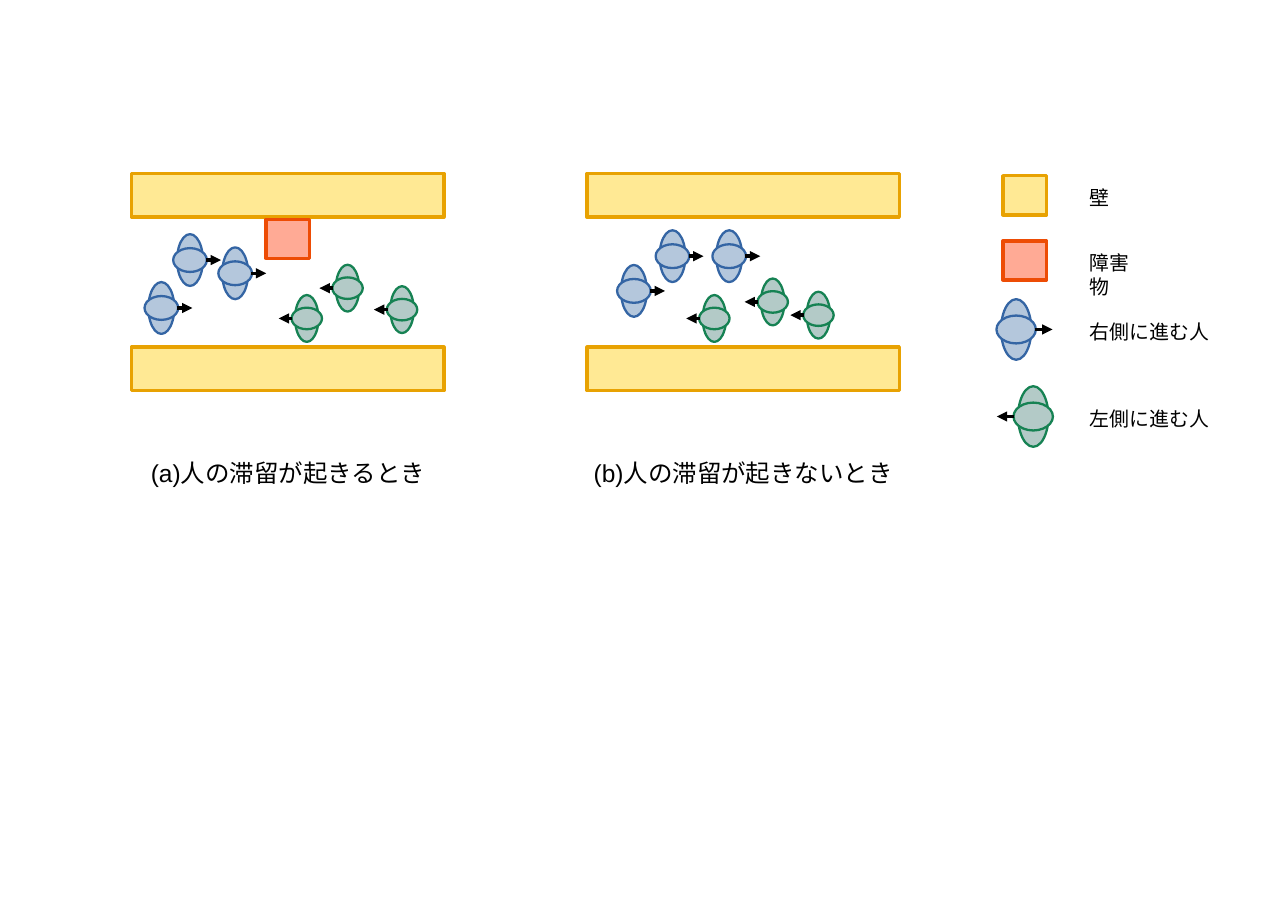
from lxml import etree
from pptx import Presentation
from pptx.dml.color import RGBColor
from pptx.enum.shapes import MSO_CONNECTOR, MSO_SHAPE
from pptx.enum.text import MSO_ANCHOR, PP_ALIGN
from pptx.oxml.ns import qn
from pptx.util import Emu, Pt

EMU_PER_PX = 9144
SLIDE_WIDTH = Emu(21383625)
SLIDE_HEIGHT = Emu(15119350)
RECTANGLE = MSO_SHAPE.RECTANGLE
OVAL = MSO_SHAPE.OVAL
STRAIGHT = MSO_CONNECTOR.STRAIGHT
TOP = MSO_ANCHOR.TOP
LEFT = PP_ALIGN.LEFT

WHITE = RGBColor(0xFF, 0xFF, 0xFF)
BLACK = RGBColor(0x00, 0x00, 0x00)
WALL_FILL = RGBColor(0xFF, 0xE9, 0x94)
WALL_EDGE = RGBColor(0xE8, 0xA2, 0x02)
OBSTACLE_FILL = RGBColor(0xFF, 0xAA, 0x95)
OBSTACLE_EDGE = RGBColor(0xED, 0x4C, 0x05)
BLUE_FILL = RGBColor(0xB4, 0xC7, 0xDC)
BLUE_EDGE = RGBColor(0x34, 0x65, 0xA4)
GREEN_FILL = RGBColor(0xB3, 0xCA, 0xC7)
GREEN_EDGE = RGBColor(0x16, 0x82, 0x53)

LATIN_FONT = "Arial"
JAPANESE_FONT = "Noto Sans CJK JP"

WALL = {"fill": WALL_FILL, "edge": WALL_EDGE, "weight": 4.5}
OBSTACLE = {"fill": OBSTACLE_FILL, "edge": OBSTACLE_EDGE, "weight": 4.5}
RIGHTWARD = {"fill": BLUE_FILL, "edge": BLUE_EDGE, "weight": 3}
LEFTWARD = {"fill": GREEN_FILL, "edge": GREEN_EDGE, "weight": 3}

CAPTION_FORMAT = {"name": LATIN_FONT, "size": Pt(32)}
WALL_LABEL_FORMAT = {"name": LATIN_FONT, "size": Pt(26)}
LABEL_FORMAT = {"name": JAPANESE_FONT, "size": Pt(26)}
INSETS = {"margin_left": 10, "margin_right": 10, "margin_top": 5, "margin_bottom": 5}

PANELS = [
    {
        "box": (239, 315, 567, 394),
        "obstacle": (244, 83),
        "rightward": [(188, 181), (106, 157), (54, 244)],
        "leftward": [(318, 263), (392, 208), (491, 247)],
        "caption": ("(a)人の滞留が起きるとき", 25, 519),
    },
    {
        "box": (1066, 315, 567, 394),
        "obstacle": None,
        "rightward": [(258, 150), (155, 150), (85, 213)],
        "leftward": [(231, 263), (337, 233), (420, 257)],
        "caption": ("(b)人の滞留が起きないとき", 2, 564),
    },
]


def px(length):
    return round(length * EMU_PER_PX)


def add_block(shapes, kind, box, style):
    shape = shapes.add_shape(kind, *map(px, box))
    shape.shadow.inherit = False
    shape.fill.solid()
    shape.fill.fore_color.rgb = style["fill"]
    shape.line.color.rgb = style["edge"]
    shape.line.width = Pt(style["weight"])


def add_arrow(shapes, start, end, y):
    arrow = shapes.add_connector(STRAIGHT, px(start), px(y), px(end), px(y))
    arrow.line.color.rgb = BLACK
    arrow.line.width = Pt(4.5)
    properties = arrow.element.spPr
    etree.SubElement(properties.find(qn("a:ln")), qn("a:tailEnd"), type="triangle")
    etree.SubElement(properties, qn("a:effectLst"))


def add_person(shapes, centre_x, centre_y, height, style):
    head_width = 0.65 * height
    for width, depth in ((0.5 * height, height), (head_width, 0.46 * height)):
        box = (centre_x - width / 2, centre_y - depth / 2, width, depth)
        add_block(shapes, OVAL, box, style)
    direction = 1 if style is RIGHTWARD else -1
    start = centre_x + direction * 0.31 * height
    add_arrow(shapes, start, start + direction * 0.29 * height, centre_y)


def add_text(shapes, box, text, text_format, wrap):
    frame = shapes.add_textbox(*map(px, box)).text_frame
    frame.word_wrap = wrap
    frame.vertical_anchor = TOP
    for name, length in INSETS.items():
        setattr(frame, name, px(length))
    paragraph = frame.paragraphs[0]
    paragraph.alignment = LEFT
    run = paragraph.add_run()
    run.text = text
    for name, value in text_format.items():
        setattr(run.font, name, value)
    run.font.color.rgb = BLACK
    etree.SubElement(run.font._element, qn("a:ea"), typeface=JAPANESE_FONT)


def add_panel(slide, panel):
    left, top, width, height = panel["box"]
    wall_height = 79
    shapes = slide.shapes.add_group_shape().shapes
    for wall_top in (top, top + height - wall_height):
        add_block(shapes, RECTANGLE, (left, wall_top, width, wall_height), WALL)
    if panel["obstacle"]:
        x, y = panel["obstacle"]
        add_block(shapes, RECTANGLE, (left + x, top + y, 79, 71), OBSTACLE)
    for key, size, style in (("rightward", 94, RIGHTWARD), ("leftward", 85, LEFTWARD)):
        for x, y in panel[key]:
            add_person(shapes, left + x, top + y, size, style)
    text, indent, caption_width = panel["caption"]
    caption_box = (left + indent, top + height + 118, caption_width, 74)
    add_text(slide.shapes, caption_box, text, CAPTION_FORMAT, True)


def add_legend(slide, box):
    left, top, width, height = box
    shapes = slide.shapes.add_group_shape().shapes
    for y, style in ((0, WALL), (118, OBSTACLE)):
        add_block(shapes, RECTANGLE, (left + 12, top + y, 79, 71), style)
    for x, y, style in ((36, 279, RIGHTWARD), (67, 437, LEFTWARD)):
        add_person(shapes, left + x, top + y, 110, style)
    labels = (
        ("壁", 13, 56, WALL_LABEL_FORMAT),
        ("障害物", 131, 128, LABEL_FORMAT),
        ("右側に進む人", 256, 237, LABEL_FORMAT),
        ("左側に進む人", 414, 237, LABEL_FORMAT),
    )
    for text, y, label_width, label_format in labels:
        label_box = (left + 160, top + y, label_width, 62)
        add_text(shapes, label_box, text, label_format, False)


def main():
    presentation = Presentation()
    presentation.slide_width = SLIDE_WIDTH
    presentation.slide_height = SLIDE_HEIGHT
    slide = presentation.slides.add_slide(presentation.slide_layouts[6])
    backdrop = {"fill": WHITE, "edge": WHITE, "weight": 0}
    add_block(slide.shapes, RECTANGLE, (142, 205, 2110, 748), backdrop)
    for panel in PANELS:
        add_panel(slide, panel)
    add_legend(slide, (1809, 319, 397, 492))
    presentation.save("out.pptx")


if __name__ == "__main__":
    main()
